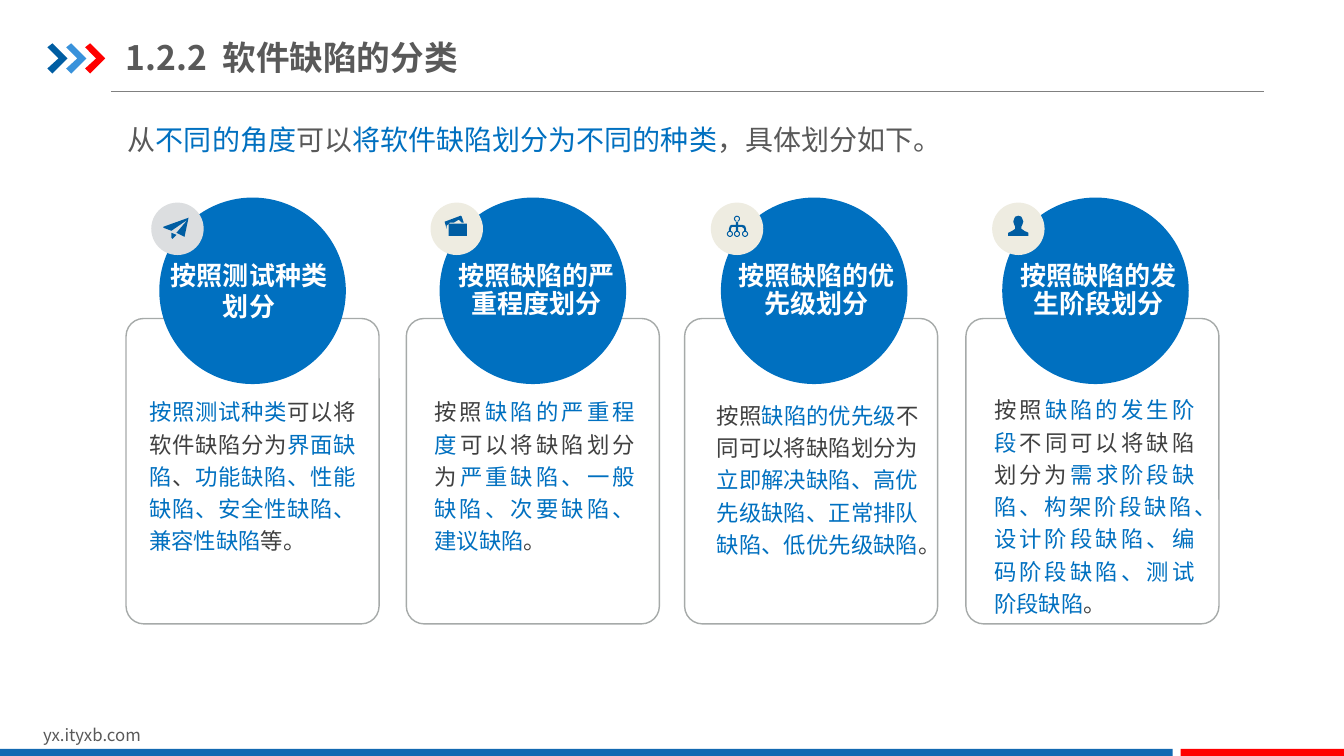
"""Build the slide on the classification of software defects."""
import math
from lxml import etree
from pptx import Presentation, util as u
from pptx.dml.color import RGBColor
from pptx.enum import shapes, text
from pptx.oxml.ns import qn

FONT = "Noto Sans CJK SC"
BLUE = RGBColor(0x00, 0x70, 0xC0)
NAVY = RGBColor(0x00, 0x5D, 0xA2)
SKY = RGBColor(0x39, 0x92, 0xDB)
FOOTER_BLUE = RGBColor(0x13, 0x69, 0xB2)
RED = RGBColor(0xFF, 0x00, 0x00)
WHITE = RGBColor(0xFF, 0xFF, 0xFF)
GRAY = RGBColor(0x59, 0x59, 0x59)
DARK = RGBColor(0x40, 0x40, 0x40)
RULE = RGBColor(0x80, 0x80, 0x80)
BORDER = RGBColor(0xA6, 0xAA, 0xA9)
SILVER = RGBColor(0xDC, 0xDE, 0xE0)
CREAM = RGBColor(0xEE, 0xEC, 0xE1)

MIDDLE = text.MSO_ANCHOR.MIDDLE
CENTER = text.PP_ALIGN.CENTER
JUSTIFY = text.PP_ALIGN.JUSTIFY
OVAL = shapes.MSO_SHAPE.OVAL
RECTANGLE = shapes.MSO_SHAPE.RECTANGLE

presentation = Presentation()
presentation.slide_width = u.Inches(13.33)
presentation.slide_height = u.Inches(7.5)
slide = presentation.slides.add_slide(presentation.slide_layouts[6])


def add_text(box, runs, size, bold=False, insets=(0, 0), frame_format={}, paragraph_format={}):
    """Add one paragraph of (words, colour) runs in a text box."""
    frame = slide.shapes.add_textbox(*map(u.Inches, box)).text_frame
    frame.word_wrap = True
    frame.margin_left = frame.margin_right = u.Inches(insets[0])
    frame.margin_top = frame.margin_bottom = u.Inches(insets[1])
    paragraph = frame.paragraphs[0]
    for target, values in ((frame, frame_format), (paragraph, paragraph_format)):
        for name, value in values.items():
            setattr(target, name, value)
    for words, color in runs:
        run = paragraph.add_run()
        run.text = words
        for name, value in {"name": FONT, "size": u.Pt(size), "bold": bold}.items():
            setattr(run.font, name, value)
        run.font.color.rgb = color
        etree.SubElement(run._r.get_or_add_rPr(), qn("a:ea"), typeface=FONT)


def add_outline(contours, color):
    """Add a filled freeform from closed contours given in inches."""
    scaled = [[(x * 1000, y * 1000) for x, y in contour] for contour in contours]
    builder = slide.shapes.build_freeform(*scaled[0][0], scale=u.Inches(1) / 1000)
    for contour in scaled:
        if contour is not scaled[0]:
            builder.move_to(*contour[0])
        builder.add_line_segments(contour[1:], close=True)
    outline = builder.convert_to_shape()
    outline.shadow.inherit = False
    outline.fill.solid()
    outline.fill.fore_color.rgb = color
    outline.line.fill.background()


rule = slide.shapes.add_connector(
    shapes.MSO_CONNECTOR.STRAIGHT, u.Inches(1.1), u.Inches(0.91), u.Inches(12.54), u.Inches(0.91))
rule.line.color.rgb = RULE
rule.line.width = u.Pt(0.75)
etree.SubElement(rule._element.spPr, qn("a:effectLst"))

CHEVRON = [(0, 0.47), (0.05, 0.43), (0.2, 0.58), (0.05, 0.73), (0, 0.68), (0.11, 0.58)]
for index, color in enumerate((NAVY, SKY, RED)):
    left = 0.47 + 0.187 * index
    add_outline([[(left + x, y) for x, y in CHEVRON]], color)

add_text((0.33, 7.14, 3.18, 0.3), [("yx.ityxb.com", GRAY)], 12, insets=(0.1, 0.05))

CARDS = (1.25, 4.03, 6.79, 9.58)
CIRCLES = (1.58, 4.36, 7.15, 9.94)
BADGES = (1.5, 4.27, 7.05, 9.84)
preset_shapes = [
    (RECTANGLE, (0, 7.43, 11.63, 0.09), FOOTER_BLUE),
    (RECTANGLE, (11.71, 7.43, 1.63, 0.09), RED),
]
preset_shapes += [(shapes.MSO_SHAPE.ROUNDED_RECTANGLE, (x, 3.16, 2.51, 3.03), None) for x in CARDS]
preset_shapes += [(OVAL, (x, 1.96, 1.85, 1.85), BLUE) for x in CIRCLES]
preset_shapes += [(OVAL, (x, 2.01, 0.52, 0.52), CREAM if x > 2 else SILVER) for x in BADGES]
for kind, box, color in preset_shapes:
    shape = slide.shapes.add_shape(kind, *map(u.Inches, box))
    shape.shadow.inherit = False
    if color is None:
        shape.adjustments[0] = 0.07
        shape.fill.background()
        shape.line.color.rgb = BORDER
        shape.line.width = u.Pt(1)
    else:
        shape.fill.solid()
        shape.fill.fore_color.rgb = color
        shape.line.fill.background()

PLANE = [
    [(1.7, 2.31), (1.75, 2.33), (1.71, 2.37), (1.7, 2.36)],
    [(1.87, 2.16), (1.83, 2.35), (1.75, 2.31), (1.86, 2.18), (1.7, 2.29), (1.62, 2.26), (1.62, 2.25)],
]
FOLDERS = [
    [(4.41, 2.2), (4.57, 2.14), (4.58, 2.15), (4.6, 2.21), (4.58, 2.21), (4.55, 2.18),
     (4.5, 2.21), (4.46, 2.21), (4.43, 2.24), (4.43, 2.27)],
    [(4.45, 2.22), (4.63, 2.22), (4.63, 2.34), (4.45, 2.34)],
]
TREE = [
    [(x + radius * math.cos(step * math.pi / 10), y + radius * math.sin(step * math.pi / 10))
     for step in range(20)]
    for x, y in ((7.31, 2.17), (7.24, 2.32), (7.31, 2.32), (7.39, 2.32))
    for radius in (0.03, 0.02)
]
TREE.append([
    (7.3, 2.19), (7.32, 2.19), (7.32, 2.23), (7.36, 2.23), (7.39, 2.24), (7.4, 2.27), (7.4, 2.29),
    (7.38, 2.29), (7.38, 2.27), (7.36, 2.25), (7.32, 2.25), (7.32, 2.29), (7.3, 2.29), (7.3, 2.25),
    (7.26, 2.25), (7.25, 2.27), (7.25, 2.29), (7.23, 2.29), (7.23, 2.27), (7.24, 2.24),
    (7.26, 2.23), (7.3, 2.23)])
PERSON_HALF = [
    (0, 2.14), (0.03, 2.15), (0.04, 2.17), (0.05, 2.2), (0.04, 2.23), (0.03, 2.25), (0.03, 2.27),
    (0.06, 2.29), (0.1, 2.31), (0.1, 2.34)]
PERSON = [[(10.1 + x, y) for x, y in PERSON_HALF] + [(10.1 - x, y) for x, y in PERSON_HALF[::-1]]]
for icon in (PLANE, FOLDERS, TREE, PERSON):
    add_outline(icon, NAVY)

categories = [
    ("按照测试种类划分", (1.54, 2.57, 1.86, 0.63), 1, (1.38, 4.03, 2.25, 1.34), (0.1, 0.05),
     [("按照测试种类", BLUE), ("可以将软件缺陷分为", DARK), ("界面缺陷", BLUE), ("、", DARK),
      ("功能缺陷、性能缺陷、安全性缺陷、兼容性缺陷", BLUE), ("等。", DARK)]),
    ("按照缺陷的严重程度划分", (4.46, 2.57, 1.73, 0.63), 0.9, (4.31, 3.98, 1.99, 1.44), (0, 0),
     [("按照", DARK), ("缺陷的严重程度", BLUE), ("可以将缺陷划分为", DARK),
      ("严重缺陷、一般缺陷、次要缺陷、建议缺陷", BLUE), ("。", DARK)]),
    ("按照缺陷的优先级划分", (7.23, 2.57, 1.73, 0.63), 0.9, (7.11, 4.04, 2, 1.39), (0, 0),
     [("按照", DARK), ("缺陷的优先级", BLUE), ("不同可以将缺陷划分为", DARK),
      ("立即解决缺陷、高优先级缺陷、正常排队缺陷、低优先级缺陷", BLUE), ("。", DARK)]),
    ("按照缺陷的发生阶段划分", (10.03, 2.57, 1.73, 0.63), 0.9, (9.86, 4.38, 1.99, 1.24), (0, 0),
     [("按照", DARK), ("缺陷的发生阶段", BLUE), ("不同可以将缺陷划分为", DARK),
      ("需求阶段缺陷、构架阶段缺陷、设计阶段缺陷、编码阶段缺陷、测试阶段缺陷", BLUE), ("。", DARK)]),
]
for heading, heading_box, spacing, body_box, insets, body in categories:
    add_text(heading_box, [(heading, WHITE)], 18.6, True, insets, {"vertical_anchor": MIDDLE},
             {"alignment": CENTER, "line_spacing": spacing})
    add_text(body_box, body, 16, False, insets, {"vertical_anchor": MIDDLE},
             {"alignment": JUSTIFY, "line_spacing": 1.2})

add_text((1.25, 0.29, 4.26, 0.55), [("1.2.2  软件缺陷的分类", GRAY)], 24, True, (0, 0.07),
         {"vertical_anchor": MIDDLE})
add_text((1.17, 1, 10.99, 0.68),
         [("从", GRAY), ("不同的角度", BLUE), ("可以", GRAY), ("将软件缺陷划分为不同的种类", BLUE),
          ("，具体划分如下。", GRAY)],
         20, insets=(0.1, 0.05), paragraph_format={"alignment": JUSTIFY, "line_spacing": 1.5})

presentation.save("out.pptx")
